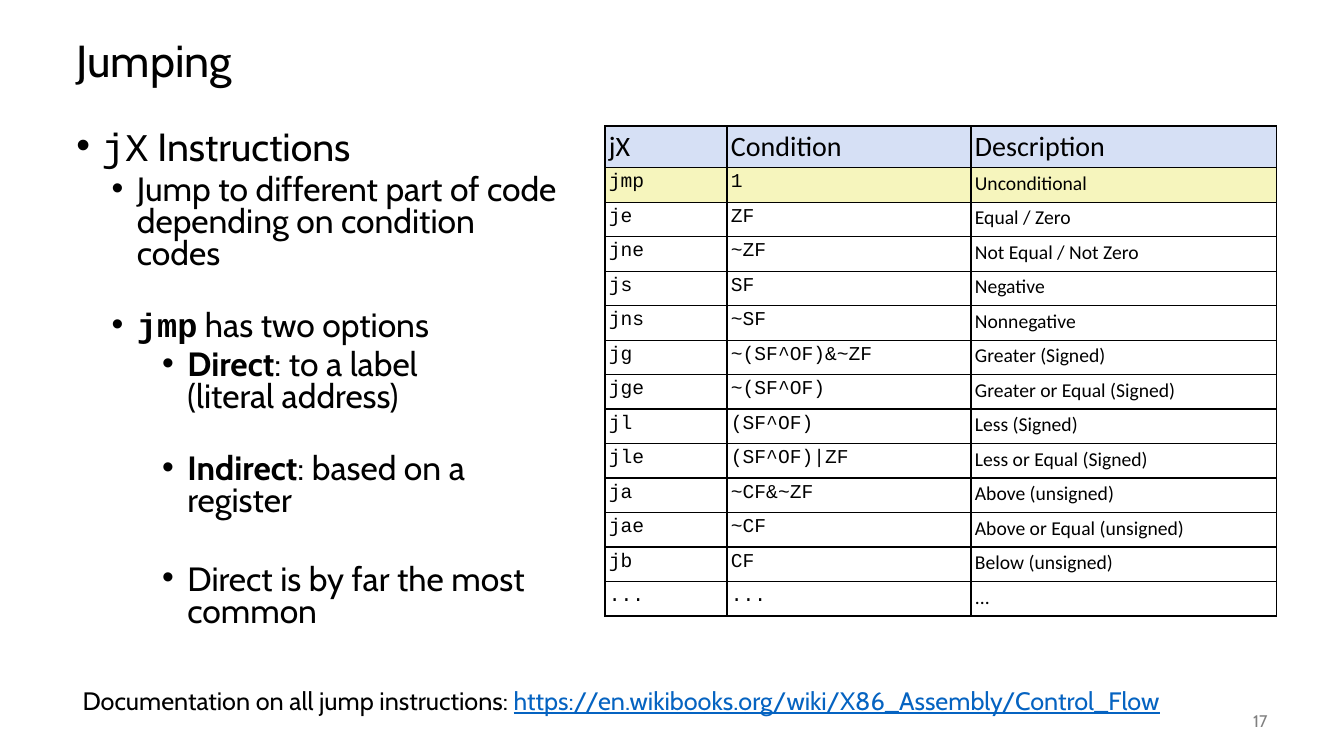
from pptx import Presentation
from pptx.dml.color import RGBColor as Rgb
from pptx.enum.text import MSO_ANCHOR as Anchor, PP_ALIGN as Align
from pptx.oxml import parse_xml
from pptx.oxml.ns import nsdecls
from pptx.util import Inches, Pt

COLORS = {
    "text": "000000",
    "header": "D6E0F5",
    "highlight": "F6F5BD",
    "link": "0563C1",
    "number": "808080",
}
SANS, TABLE_SANS, MONO = "Cabin", "Calibri", "Courier New"

# Each bullet: level, space before, spans of (text, format)
BULLETS = [
    (0, 0, [("jX", {"font": MONO, "size": 28}), (" Instructions", {"size": 28})]),
    (1, 5, [("Jump to different part of code depending on condition codes", {})]),
    (1, 28, [("jmp", {"font": MONO, "bold": True}), (" has two options", {})]),
    (2, 5, [("Direct", {"bold": True}), (": to a label\v(literal address)", {})]),
    (2, 28, [("Indirect", {"bold": True}), (": based on a register", {})]),
    (2, 33, [("Direct is by far the most common", {})]),
]
LEVEL_INDENTS = [0.25, 0.6, 1.1]
HANGING = 0.25

JUMPS = [
    ("jX", "Condition", "Description"),
    ("jmp", "1", "Unconditional"),
    ("je", "ZF", "Equal / Zero"),
    ("jne", "~ZF", "Not Equal / Not Zero"),
    ("js", "SF", "Negative"),
    ("jns", "~SF", "Nonnegative"),
    ("jg", "~(SF^OF)&~ZF", "Greater (Signed)"),
    ("jge", "~(SF^OF)", "Greater or Equal (Signed)"),
    ("jl", "(SF^OF)", "Less (Signed)"),
    ("jle", "(SF^OF)|ZF", "Less or Equal (Signed)"),
    ("ja", "~CF&~ZF", "Above (unsigned)"),
    ("jae", "~CF", "Above or Equal (unsigned)"),
    ("jb", "CF", "Below (unsigned)"),
    ("...", "...", "..."),
]
COLUMN_WIDTHS = [1.21, 2.42, 3.03]
HEADER_HEIGHT = 0.41
ROW_FILLS = {0: "header", 1: "highlight"}


def add_span(para, text, font=SANS, size=24, color="text", bold=False, underline=False):
    """Add formatted text; a vertical tab in it becomes a line break."""
    for index, line in enumerate(text.split("\v")):
        if index:
            para.add_line_break()
        span = para.add_run()
        span.text = line
        span.font.name = font
        span.font.size = Pt(size)
        span.font.bold = bold
        span.font.underline = underline
        span.font.color.rgb = Rgb.from_string(COLORS[color])


def add_frame(page, box, anchor=Anchor.TOP):
    frame = page.shapes.add_textbox(*map(Inches, box)).text_frame
    frame.word_wrap = True
    frame.vertical_anchor = anchor
    return frame


def add_title(page, box, text):
    para = add_frame(page, box, Anchor.MIDDLE).paragraphs[0]
    para.line_spacing = 0.9
    add_span(para, text, size=32)


def add_bullets(page, box, bullets):
    frame = add_frame(page, box)
    for index, (level, space, spans) in enumerate(bullets):
        para = frame.add_paragraph() if index else frame.paragraphs[0]
        para.level = level
        para.line_spacing = 0.8
        para.space_before = Pt(space)
        props = para._p.get_or_add_pPr()
        props.set("marL", str(Inches(LEVEL_INDENTS[level])))
        props.set("indent", str(-Inches(HANGING)))
        props.append(parse_xml(f'<a:buFont {nsdecls("a")} typeface="Arial"/>'))
        props.append(parse_xml(f'<a:buChar {nsdecls("a")} char="•"/>'))
        for text, style in spans:
            add_span(para, text, **style)


def add_borders(cell):
    props = cell._tc.get_or_add_tcPr()
    for side in ("lnL", "lnR", "lnT", "lnB"):
        props.append(parse_xml(
            f'<a:{side} {nsdecls("a")} w="{Pt(1)}"><a:solidFill>'
            f'<a:srgbClr val="{COLORS["text"]}"/></a:solidFill></a:{side}>'))


def add_jump_table(page, box, rows):
    table = page.shapes.add_table(len(rows), len(COLUMN_WIDTHS), *map(Inches, box)).table
    table.first_row = table.horz_banding = False
    for column, width in zip(table.columns, COLUMN_WIDTHS):
        column.width = Inches(width)
    row_height = (box[3] - HEADER_HEIGHT) / (len(rows) - 1)
    for row_index, texts in enumerate(rows):
        is_header = row_index == 0
        table.rows[row_index].height = Inches(HEADER_HEIGHT if is_header else row_height)
        for column_index, text in enumerate(texts):
            cell = table.cell(row_index, column_index)
            cell.margin_left = cell.margin_right = Inches(0.04)
            cell.margin_top = cell.margin_bottom = Inches(0.04)
            add_borders(cell)
            if row_index in ROW_FILLS:
                cell.fill.solid()
                cell.fill.fore_color.rgb = Rgb.from_string(COLORS[ROW_FILLS[row_index]])
            else:
                cell.fill.background()
            is_code = not is_header and column_index < 2
            add_span(cell.text_frame.paragraphs[0], text,
                     font=MONO if is_code else TABLE_SANS, size=20 if is_header else 14)


def add_page_number(page, box, number):
    para = add_frame(page, box, Anchor.MIDDLE).paragraphs[0]
    para.alignment = Align.RIGHT
    add_span(para, str(number), size=12, color="number")


def add_reference(page, box, label, address):
    para = add_frame(page, box).paragraphs[0]
    add_span(para, label, size=18)
    add_span(para, address, size=18, color="link", underline=True)


def main():
    deck = Presentation()
    deck.slide_width, deck.slide_height = Inches(13.33), Inches(7.5)
    page = deck.slides.add_slide(deck.slide_layouts[6])
    add_title(page, (0.66, 0.25, 12, 0.75), "Jumping")
    add_bullets(page, (0.66, 1.25, 5.05, 5.5), BULLETS)
    add_jump_table(page, (6, 1.25, 6.67, 4.86), JUMPS)
    add_page_number(page, (11.67, 6.95, 1, 0.4), 17)
    add_reference(page, (0.72, 6.75, 11.15, 0.4), "Documentation on all jump instructions: ",
                  "https://en.wikibooks.org/wiki/X86_Assembly/Control_Flow")
    deck.save("out.pptx")


if __name__ == "__main__":
    main()
